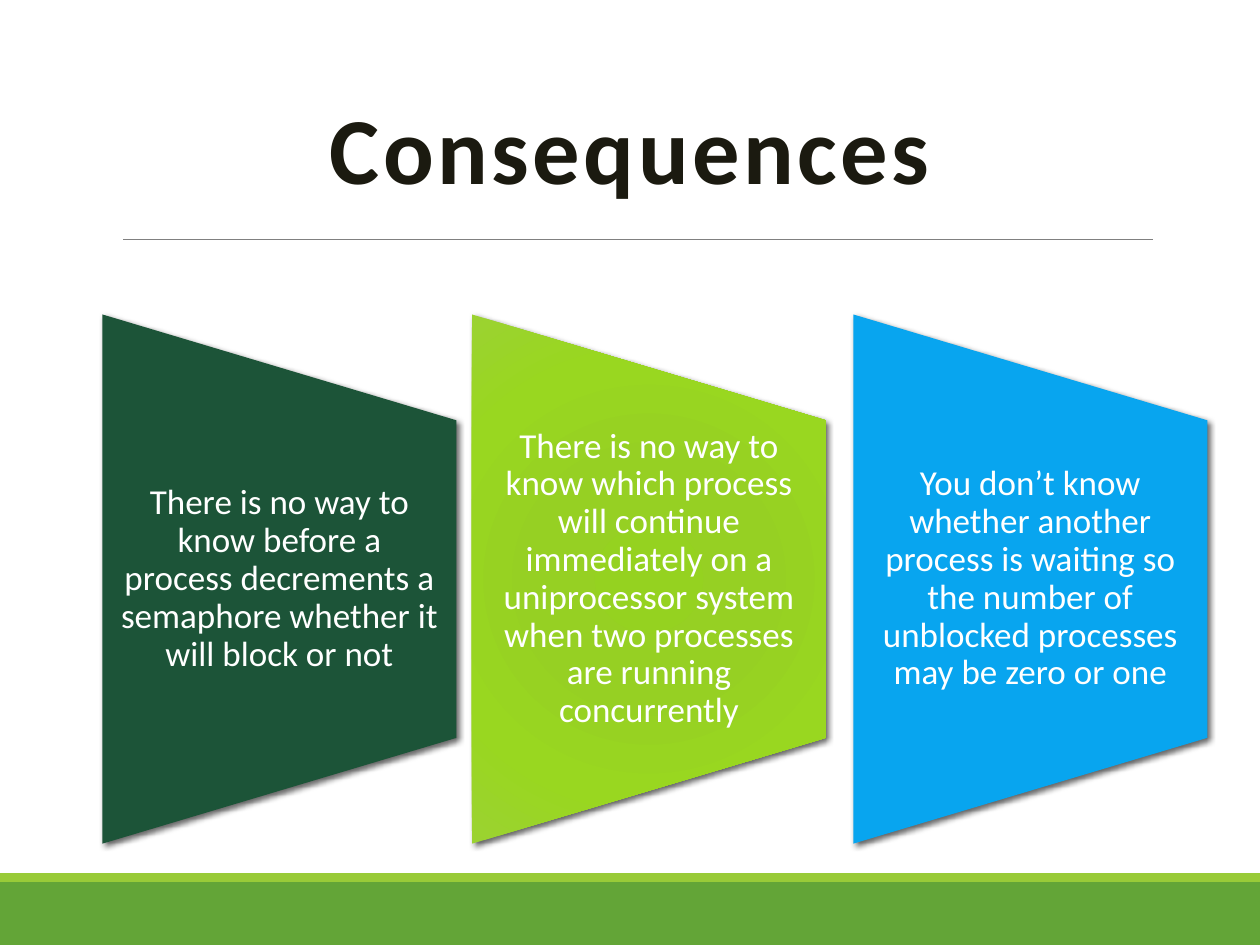
from lxml import etree
from pptx import Presentation
from pptx.dml.color import RGBColor
from pptx.enum import shapes, text
from pptx.oxml import parse_xml
from pptx.oxml.ns import qn
from pptx.util import Pt

DRAWING_NS = 'xmlns:a="http://schemas.openxmlformats.org/drawingml/2006/main"'
PANEL_WIDTH, PANEL_HEIGHT, PANEL_TOP = 202.3, 302.4, 179.7
TEXT_HEIGHT = 181.4
LIME_STOPS = [(0, "95D220"), (34, "96D023"), (70, "99D720"), (100, "9BD231")]
CONSEQUENCES = [
    (58.5, "1C5438", "There is no way to know before a process decrements a "
     "semaphore whether it will block or not"),
    (269.7, LIME_STOPS, "There is no way to know which process will continue "
     "immediately on a uniprocessor system when two processes are running concurrently"),
    (487.6, "08A5EF", "You don’t know whether another process is waiting so "
     "the number of unblocked processes may be zero or one"),
]


def color(value):
    return RGBColor.from_string(value)


def add_filled(slide, kind, left, top, width, height, fill):
    """Add an unlined shape; fill is a hex string or a list of gradient stops."""
    shape = slide.shapes.add_shape(kind, Pt(left), Pt(top), Pt(width), Pt(height))
    shape.shadow.inherit = False
    shape.line.fill.background()
    if isinstance(fill, str):
        shape.fill.solid()
        shape.fill.fore_color.rgb = color(fill)
    else:
        set_radial_fill(shape, fill)
    return shape


def set_radial_fill(shape, stops):
    stop_xml = "".join(
        f'<a:gs pos="{position * 1000}"><a:srgbClr val="{value}"/></a:gs>'
        for position, value in stops)
    gradient = parse_xml(
        f'<a:gradFill {DRAWING_NS} rotWithShape="1"><a:gsLst>{stop_xml}</a:gsLst>'
        '<a:path path="circle"><a:fillToRect l="100000" t="100000" '
        'r="100000" b="100000"/></a:path></a:gradFill>')
    shape._element.spPr.find(qn("a:prstGeom")).addnext(gradient)


def add_drop_shadow(shape):
    effects = shape._element.spPr.find(qn("a:effectLst"))
    effects.append(parse_xml(
        f'<a:outerShdw {DRAWING_NS} blurRad="{Pt(3)}" dist="{Pt(2)}" dir="2700000" '
        'algn="ctr" rotWithShape="0"><a:srgbClr val="000000">'
        '<a:alpha val="60000"/></a:srgbClr></a:outerShdw>'))


def add_text(slide, wording, left, top, width, height, *, size, ink, anchor,
             line_spacing, side_inset, end_inset, bold=False, tracking=0):
    box = slide.shapes.add_textbox(Pt(left), Pt(top), Pt(width), Pt(height))
    frame = box.text_frame
    frame.word_wrap = True
    frame.vertical_anchor = anchor
    frame.margin_left = frame.margin_right = Pt(side_inset)
    frame.margin_top = frame.margin_bottom = Pt(end_inset)
    paragraph = frame.paragraphs[0]
    paragraph.alignment = text.PP_ALIGN.CENTER
    paragraph.line_spacing = line_spacing
    run = paragraph.add_run()
    run.text = wording
    run.font.name = "Calibri"
    run.font.size = Pt(size)
    run.font.bold = bold
    run.font.color.rgb = color(ink)
    if tracking:
        run._r.get_or_add_rPr().set("spc", str(tracking * 100))


def add_rule(slide, left, right, y):
    rule = slide.shapes.add_connector(
        shapes.MSO_CONNECTOR.STRAIGHT, Pt(left), Pt(y), Pt(right), Pt(y))
    rule.line.color.rgb = color("808080")
    rule.line.width = Pt(0.5)
    etree.SubElement(rule._element.spPr, qn("a:effectLst"))


def add_consequence(slide, left, fill, wording):
    """Add a trapezoid turned on its side, with upright text over it."""
    turn_offset = (PANEL_HEIGHT - PANEL_WIDTH) / 2
    panel = add_filled(
        slide, shapes.MSO_SHAPE.FLOWCHART_MANUAL_OPERATION, left - turn_offset,
        PANEL_TOP + turn_offset, PANEL_HEIGHT, PANEL_WIDTH, fill)
    panel.rotation = 270
    add_drop_shadow(panel)
    add_text(slide, wording, left, PANEL_TOP + (PANEL_HEIGHT - TEXT_HEIGHT) / 2,
             PANEL_WIDTH, TEXT_HEIGHT, size=20, ink="FFFFFF",
             anchor=text.MSO_ANCHOR.MIDDLE, line_spacing=0.9,
             side_inset=10, end_inset=0)


def main():
    deck = Presentation()
    deck.slide_width, deck.slide_height = Pt(720), Pt(540)
    slide = deck.slides.add_slide(deck.slide_layouts[6])

    add_filled(slide, shapes.MSO_SHAPE.RECTANGLE, 0, 504, 720, 36, "63A537")
    add_filled(slide, shapes.MSO_SHAPE.RECTANGLE, 0, 499, 720, 5, "99CB38")
    add_rule(slide, 70.5, 658.8, 136.8)
    add_text(slide, "Consequences", 51.8, 36, 616.4, 84.2, size=54, ink="1B1A10",
             anchor=text.MSO_ANCHOR.BOTTOM, line_spacing=0.85,
             side_inset=7.2, end_inset=3.6, bold=True, tracking=2)
    for left, fill, wording in CONSEQUENCES:
        add_consequence(slide, left, fill, wording)

    deck.save("out.pptx")


if __name__ == "__main__":
    main()
